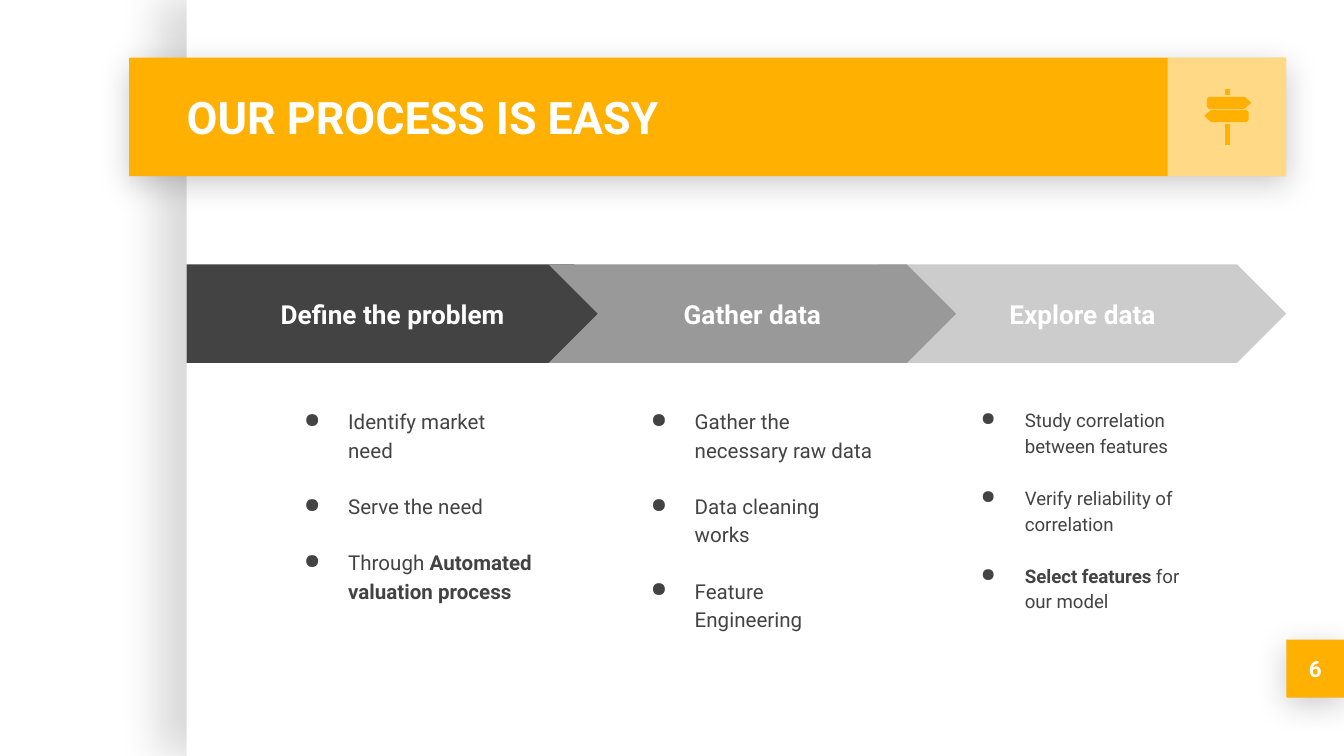
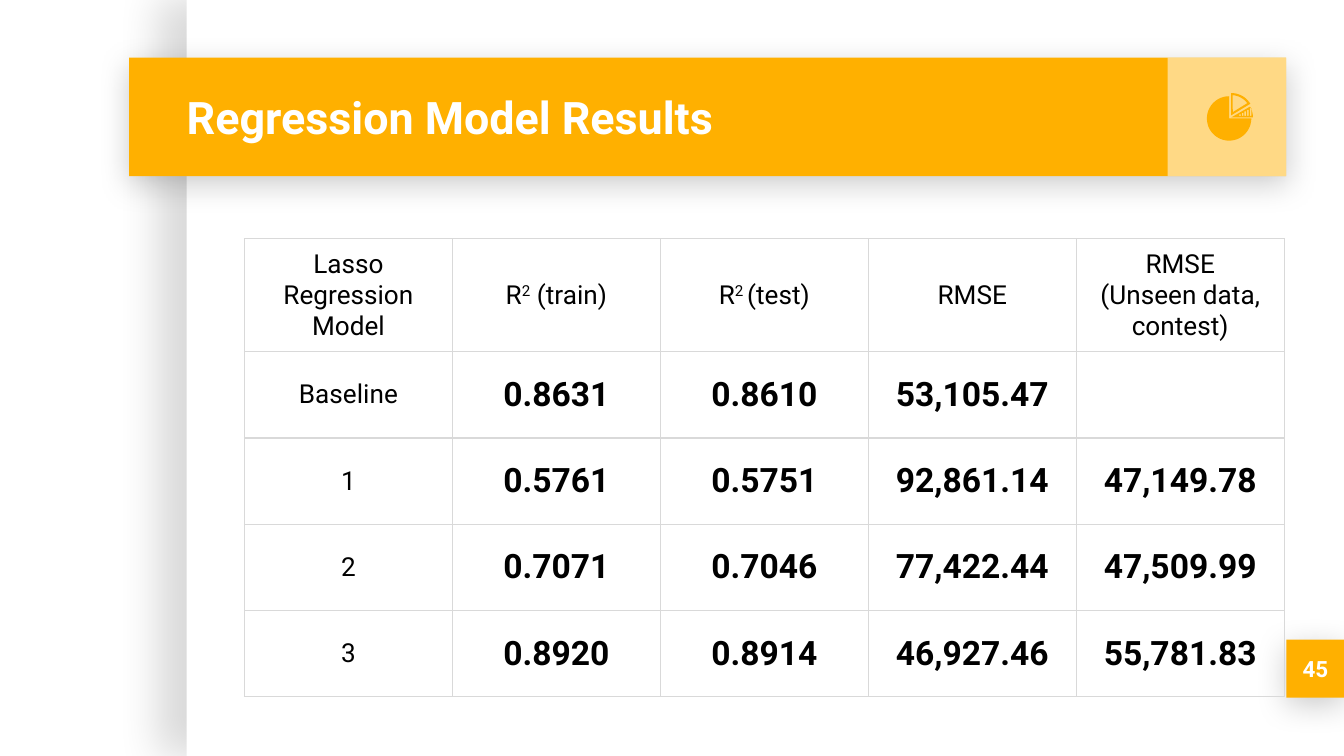
import math

import lxml.etree
import pptx
import pptx.dml.color
import pptx.enum.shapes
import pptx.enum.text
import pptx.oxml
import pptx.oxml.ns
import pptx.util

Cm = pptx.util.Cm
Pt = pptx.util.Pt
RGBColor = pptx.dml.color.RGBColor
Shape = pptx.enum.shapes.MSO_SHAPE
Align = pptx.enum.text.PP_ALIGN
Anchor = pptx.enum.text.MSO_ANCHOR
qn = pptx.oxml.ns.qn

AMBER = RGBColor(0xFF, 0xB0, 0x00)
WHITE = RGBColor(0xFF, 0xFF, 0xFF)
BLACK = RGBColor(0x00, 0x00, 0x00)
CHARCOAL = RGBColor(0x43, 0x43, 0x43)
GRAY = RGBColor(0x99, 0x99, 0x99)
SILVER = RGBColor(0xCC, 0xCC, 0xCC)
RULE = RGBColor(0xD9, 0xD9, 0xD9)

FONT = "Roboto"
WIDTH, HEIGHT = 25.4, 14.29
CARD_LEFT = 3.53
BAND_LEFT, BAND_TOP, BAND_HEIGHT = 2.44, 1.09, 2.24
BAND_RIGHT = 24.31
TAB_TOP, TAB_SIZE = 12.09, 1.1
INSET = 0.25
CARD_SHADOW = (15, 22.5, 15, 180)
BAND_SHADOW = (20, 16.9, 3.8, 90)


def arc(center_x, center_y, radius, start, end, steps=36):
    angles = [math.radians(start + (end - start) * step / steps) for step in range(steps + 1)]
    return [(center_x + radius * math.cos(angle), center_y - radius * math.sin(angle))
            for angle in angles]


def box_outline(left, top, right, bottom):
    return [(left, top), (right, top), (right, bottom), (left, bottom)]


def add_element(parent, tag, **attributes):
    return lxml.etree.SubElement(parent, qn(tag), attributes)


class Deck:
    def __init__(self):
        self.presentation = pptx.Presentation()
        self.presentation.slide_width = Cm(WIDTH)
        self.presentation.slide_height = Cm(HEIGHT)
        self.slide = None

    def start_slide(self, title, number):
        self.slide = self.presentation.slides.add_slide(self.presentation.slide_layouts[6])
        self.block(Shape.RECTANGLE, CARD_LEFT, 0, WIDTH - CARD_LEFT, HEIGHT, WHITE,
                   shadow=CARD_SHADOW)
        self.block(Shape.RECTANGLE, BAND_LEFT, BAND_TOP, BAND_RIGHT - BAND_LEFT, BAND_HEIGHT,
                   AMBER, shadow=BAND_SHADOW)
        self.block(Shape.RECTANGLE, BAND_RIGHT - BAND_HEIGHT, BAND_TOP, BAND_HEIGHT,
                   BAND_HEIGHT, WHITE, opacity=52)
        frame = self.text_box(3.28, BAND_TOP, 18.72, BAND_HEIGHT, Anchor.MIDDLE)
        self.put_text(frame.paragraphs[0], title, 24, WHITE, bold=True)
        self.block(Shape.RECTANGLE, BAND_RIGHT, TAB_TOP, TAB_SIZE, TAB_SIZE, AMBER,
                   number, 12, shadow=BAND_SHADOW)

    def put_text(self, paragraph, text, size, color, bold=False, align=Align.LEFT):
        if isinstance(text, str):
            paragraph.text = text
            marks = [""]
        else:
            for piece, _ in text:
                paragraph.add_run().text = piece
            marks = [mark for _, mark in text]
        paragraph.alignment = align
        for run, mark in zip(paragraph.runs, marks):
            run.font.name = FONT
            run.font.size = Pt(size)
            run.font.bold = bold or mark == "bold"
            run.font.color.rgb = color
            if mark == "super":
                run._r.get_or_add_rPr().set("baseline", "30000")

    def set_frame(self, frame, anchor):
        frame.word_wrap = True
        frame.vertical_anchor = anchor
        frame.margin_left = frame.margin_right = Cm(INSET)
        frame.margin_top = frame.margin_bottom = Cm(INSET)

    def text_box(self, left, top, width, height, anchor=Anchor.TOP):
        shape = self.slide.shapes.add_textbox(Cm(left), Cm(top), Cm(width), Cm(height))
        self.set_frame(shape.text_frame, anchor)
        return shape.text_frame

    def paint(self, shape, color):
        shape.shadow.inherit = False
        shape.fill.solid()
        shape.fill.fore_color.rgb = color
        shape.line.fill.background()

    def block(self, kind, left, top, width, height, color, text=None, size=14,
              shadow=None, opacity=None):
        shape = self.slide.shapes.add_shape(kind, Cm(left), Cm(top), Cm(width), Cm(height))
        self.paint(shape, color)
        properties = shape._element.spPr
        if opacity:
            add_element(properties.find(".//" + qn("a:srgbClr")), "a:alpha",
                        val=str(opacity * 1000))
        if shadow:
            alpha, blur, distance, angle = shadow
            outer = add_element(properties.find(qn("a:effectLst")), "a:outerShdw",
                                blurRad=str(Pt(blur)), dist=str(Pt(distance)),
                                dir=str(angle * 60000), algn="bl", rotWithShape="0")
            add_element(add_element(outer, "a:srgbClr", val=str(BLACK)), "a:alpha",
                        val=str(alpha * 1000))
        if text:
            self.set_frame(shape.text_frame, Anchor.MIDDLE)
            self.put_text(shape.text_frame.paragraphs[0], text, size, WHITE, True, Align.CENTER)

    def outline(self, *contours):
        builder = None
        for contour in contours:
            points = [(Cm(x), Cm(y)) for x, y in contour]
            if builder is None:
                builder = self.slide.shapes.build_freeform(*points[0], scale=1.0)
            else:
                builder.move_to(*points[0])
            builder.add_line_segments(points[1:], close=True)
        self.paint(builder.convert_to_shape(), AMBER)

    def bullets(self, left, top, width, height, items, size):
        frame = self.text_box(left, top, width, height)
        for index, item in enumerate(items):
            paragraph = frame.add_paragraph() if index else frame.paragraphs[0]
            properties = paragraph._p.get_or_add_pPr()
            properties.set("marL", str(Cm(1.27)))
            properties.set("indent", str(Cm(-0.83)))
            add_element(add_element(properties, "a:buClr"), "a:srgbClr", val=str(CHARCOAL))
            add_element(properties, "a:buChar", char="●")
            paragraph.line_spacing = 1.15
            if index:
                paragraph.space_before = Pt(round(size * 1.38))
            self.put_text(paragraph, item, size, CHARCOAL)

    def table(self, left, top, column_width, row_height, rows):
        columns = len(rows[0])
        table = self.slide.shapes.add_table(
            len(rows), columns, Cm(left), Cm(top),
            Cm(column_width * columns), Cm(row_height * len(rows))).table
        table.first_row = table.horz_banding = False
        for column in table.columns:
            column.width = Cm(column_width)
        for row_index, row in enumerate(rows):
            table.rows[row_index].height = Cm(row_height)
            for column_index, content in enumerate(row):
                value = row_index > 0 and column_index > 0
                self.fill_cell(table.cell(row_index, column_index), content, value)

    def fill_cell(self, cell, content, value):
        cell.vertical_anchor = Anchor.MIDDLE
        cell.margin_left = cell.margin_right = Cm(INSET)
        cell.margin_top = cell.margin_bottom = Cm(0.18)
        properties = cell._tc.get_or_add_tcPr()
        for side in ("a:lnL", "a:lnR", "a:lnT", "a:lnB"):
            line = add_element(properties, side, w=str(Pt(0.75)))
            add_element(add_element(line, "a:solidFill"), "a:srgbClr", val=str(RULE))
        cell.fill.background()
        lines = content if isinstance(content, tuple) else (content,)
        for index, text in enumerate(lines):
            paragraph = cell.text_frame.add_paragraph() if index else cell.text_frame.paragraphs[0]
            self.put_text(paragraph, text, 18 if value else 14, BLACK, value, Align.CENTER)


def draw_signpost(deck):
    board = [(22.85, 1.83), (23.52, 1.83), (23.65, 1.94), (23.52, 2.06),
             (22.85, 2.06), (22.81, 2.02), (22.81, 1.87)]
    deck.outline(board)
    deck.outline([(46.41 - x, y + 0.25) for x, y in board])
    deck.outline(box_outline(23.16, 1.68, 23.25, 1.8))
    deck.outline(box_outline(23.16, 2.34, 23.25, 2.74))


def draw_pie(deck):
    deck.outline([(23.23, 2.24)] + arc(23.23, 2.24, 0.42, 90, 360))
    strips = []
    for index in range(5):
        left = 23.42 + 0.05 * index
        strips.append(box_outline(left, 2.25 - (left - 23.27) * 0.58, left + 0.03, 2.19))
    deck.outline([(23.27, 2.22)] + arc(23.27, 2.22, 0.41, 30, 0), *strips)
    deck.outline([(23.27, 2.18)] + arc(23.27, 2.18, 0.42, 90, 31),
                 [(23.3, 2.12)] + arc(23.27, 2.18, 0.38, 86, 37))


def build_process(deck):
    deck.start_slide("OUR PROCESS IS EASY", "6")
    draw_signpost(deck)
    steps = [
        ("Explore data", Shape.CHEVRON, 16.61, 7.7, SILVER, 17.85, 5.21, 10,
         ["Study correlation between features",
          "Verify reliability of correlation",
          [("Select features", "bold"), (" for our model", "")]]),
        ("Define the problem", Shape.PENTAGON, CARD_LEFT, 8.25, CHARCOAL, 5.06, 5.3, 11,
         ["Identify market need",
          "Serve the need",
          [("Through ", ""), ("Automated valuation process", "bold")]]),
        ("Gather data", Shape.CHEVRON, 10.37, 7.7, GRAY, 11.61, 5.21, 11,
         ["Gather the necessary raw data",
          "Data cleaning works",
          "Feature Engineering"]),
    ]
    for name, kind, left, width, color, list_left, list_width, size, items in steps:
        deck.block(kind, left, 5, width, 1.86, color, name)
        deck.bullets(list_left, 7.42, list_width, 5.33, items, size)


def build_results(deck):
    deck.start_slide("Regression Model Results", "45")
    deck.table(4.62, 4.51, 3.93, 1.63, [
        ["Lasso Regression Model",
         [("R", ""), ("2", "super"), (" (train)", "")],
         [("R", ""), ("2 ", "super"), ("(test)", "")],
         "RMSE",
         ("RMSE", "(Unseen data, contest)")],
        ["Baseline", "0.8631", "0.8610", "53,105.47", ""],
        ["1", "0.5761", "0.5751", "92,861.14", "47,149.78"],
        ["2", "0.7071", "0.7046", "77,422.44", "47,509.99"],
        ["3", "0.8920", "0.8914", "46,927.46", "55,781.83"],
    ])
    draw_pie(deck)


def main():
    deck = Deck()
    build_process(deck)
    build_results(deck)
    deck.presentation.save("out.pptx")


if __name__ == "__main__":
    main()
